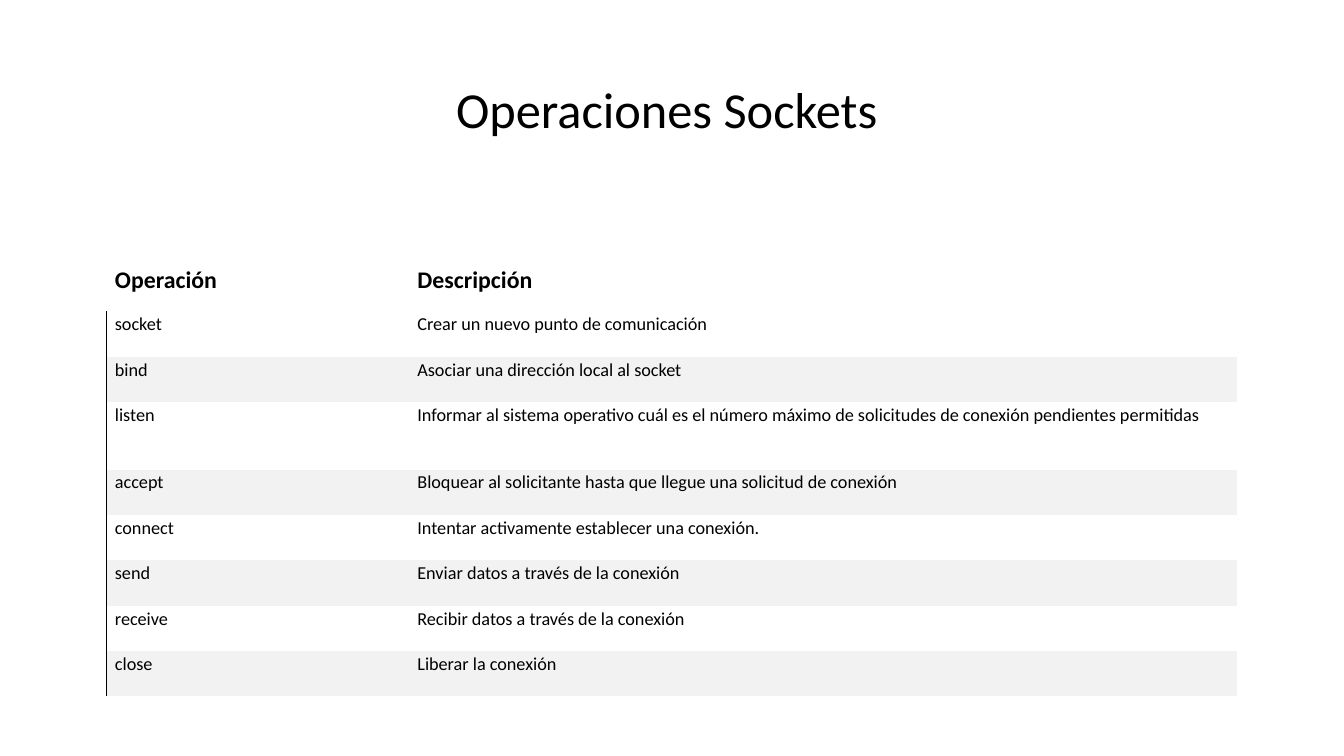
"""Build a slide with a table of socket operations."""
from lxml.etree import SubElement
from pptx import Presentation
from pptx.dml.color import RGBColor
from pptx.enum.text import MSO_ANCHOR, MSO_AUTO_SIZE, PP_ALIGN
from pptx.oxml import parse_xml
from pptx.oxml.ns import qn
from pptx.util import Inches, Pt

THEME = {
    "font": "Calibri", "ink": "000000", "band": "F2F2F2",
    "title": 36, "head": 17, "body": 13, "rule": 0.75,
    "plain": "{2D5ABB26-0587-4C30-8999-92F81FD0307C}",
}
ROWS = [
    ("Operación", "Descripción"),
    ("socket", "Crear un nuevo punto de comunicación"),
    ("bind", "Asociar una dirección local al socket"),
    ("listen", "Informar al sistema operativo cuál es el número máximo "
               "de solicitudes de conexión pendientes permitidas"),
    ("accept", "Bloquear al solicitante hasta que llegue una solicitud de conexión"),
    ("connect", "Intentar activamente establecer una conexión."),
    ("send", "Enviar datos a través de la conexión"),
    ("receive", "Recibir datos a través de la conexión"),
    ("close", "Liberar la conexión"),
]
WIDTHS = [3, 8.21]
HEIGHTS = {"Operación": 0.52, "listen": 0.67}
INSETS = {"margin_left": 0.08, "margin_top": 0.02,
          "margin_right": 0.11, "margin_bottom": 0.16}


def write(frame, text, size, bold=False):
    frame.text = text
    font = frame.paragraphs[0].runs[0].font
    looks = {"name": THEME["font"], "size": Pt(size), "bold": bold}
    for name, value in looks.items():
        setattr(font, name, value)
    font.color.rgb = RGBColor.from_string(THEME["ink"])


def rule(cell):
    line = parse_xml('<a:lnL xmlns:a="http://schemas.openxmlformats.org/'
                     f'drawingml/2006/main" w="{Pt(THEME["rule"])}"/>')
    fill = SubElement(line, qn("a:solidFill"))
    SubElement(fill, qn("a:srgbClr"), val=THEME["ink"])
    cell._tc.get_or_add_tcPr().insert(0, line)


deck = Presentation()
deck.slide_width, deck.slide_height = Inches(13.33), Inches(7.5)
slide = deck.slides.add_slide(deck.slide_layouts[5])

title = slide.shapes.title
place = {"left": 0.91, "top": 0.54, "width": 11.52, "height": 0.89}
for name, value in place.items():
    setattr(title, name, Inches(value))
frame = title.text_frame
write(frame, "Operaciones Sockets ", THEME["title"])
frame.auto_size = MSO_AUTO_SIZE.NONE
frame.vertical_anchor = MSO_ANCHOR.BOTTOM
frame.paragraphs[0].alignment = PP_ALIGN.CENTER
frame.paragraphs[0].line_spacing = 0.9

heights = [HEIGHTS.get(row[0], 0.45) for row in ROWS]
table = slide.shapes.add_table(
    len(ROWS), len(WIDTHS), Inches(1.06), Inches(2.57),
    Inches(sum(WIDTHS)), Inches(sum(heights))).table
table.horz_banding = False
table._tbl.tblPr.find(qn("a:tableStyleId")).text = THEME["plain"]
for col, width in zip(table.columns, WIDTHS):
    col.width = Inches(width)

for r, row in enumerate(ROWS):
    table.rows[r].height = Inches(heights[r])
    head = r == 0
    for c, text in enumerate(row):
        cell = table.cell(r, c)
        write(cell.text_frame, text, THEME["head" if head else "body"], head)
        for name, value in INSETS.items():
            setattr(cell, name, Inches(value))
        cell.vertical_anchor = MSO_ANCHOR.BOTTOM if head else MSO_ANCHOR.TOP
        if r and r % 2 == 0:
            cell.fill.solid()
            cell.fill.fore_color.rgb = RGBColor.from_string(THEME["band"])
        else:
            cell.fill.background()
        if r and c == 0:
            rule(cell)

deck.save("out.pptx")
